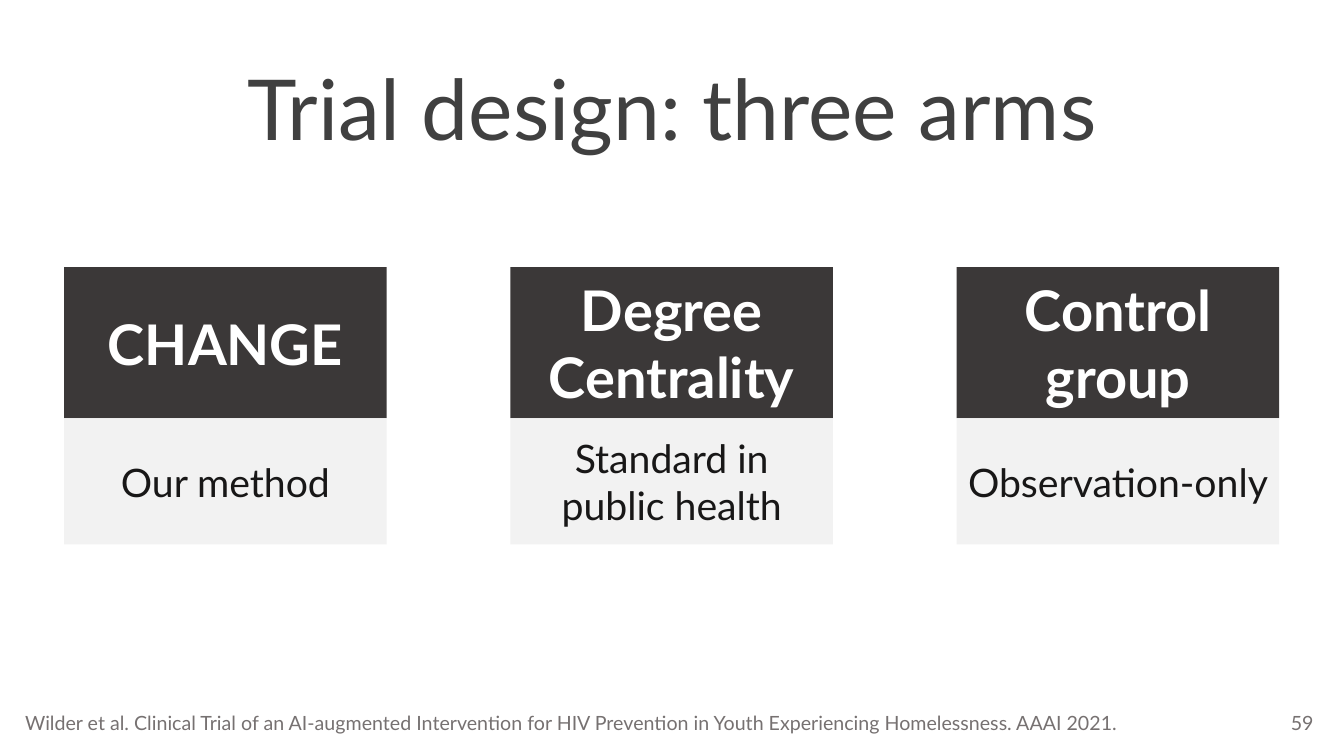
from dataclasses import dataclass

from pptx import Presentation
from pptx.dml.color import RGBColor
from pptx.enum.shapes import MSO_SHAPE
from pptx.enum.text import MSO_ANCHOR as Anchor, PP_ALIGN as Align
from pptx.util import Pt


@dataclass(frozen=True)
class Theme:
    """Colours, font and type sizes of the slide."""
    font: str = "Lato"
    title_ink: str = "404040"
    muted_ink: str = "767171"
    header_fill: str = "3B3838"
    header_ink: str = "FFFFFF"
    detail_fill: str = "F2F2F2"
    detail_ink: str = "181717"
    title_size: int = 60
    header_size: int = 40
    detail_size: int = 28
    small_size: int = 14


THEME = Theme()
ARMS = [
    ("CHANGE", "Our method"),
    ("Degree Centrality", "Standard in public health"),
    ("Control group", "Observation-only"),
]
ARM_LEFT, ARM_STEP, ARM_WIDTH = 45.8, 318.8, 230.4
HEADER_TOP, HEADER_HEIGHT, DETAIL_HEIGHT = 190.8, 108, 90


def write(holder, text, *, size, color, bold=False, align=Align.CENTER,
          anchor=Anchor.MIDDLE, spacing=1.0):
    """Put one formatted paragraph into a shape or text box."""
    frame = holder.text_frame
    frame.word_wrap = True
    frame.vertical_anchor = anchor
    paragraph = frame.paragraphs[0]
    paragraph.alignment = align
    paragraph.line_spacing = spacing
    run = paragraph.add_run()
    run.text = text
    run.font.name = THEME.font
    run.font.size = Pt(size)
    run.font.bold = bold
    run.font.color.rgb = RGBColor.from_string(color)


def add_label(slide, box, text, **text_format):
    """Add a free-standing text box."""
    label = slide.shapes.add_textbox(*map(Pt, box))
    write(label, text, **text_format)


def add_panel(slide, box, text, fill, **text_format):
    """Add a filled rectangle with text and no outline."""
    panel = slide.shapes.add_shape(MSO_SHAPE.RECTANGLE, *map(Pt, box))
    panel.shadow.inherit = False
    panel.fill.solid()
    panel.fill.fore_color.rgb = RGBColor.from_string(fill)
    panel.line.fill.background()
    write(panel, text, **text_format)


def add_arm(slide, left, name, detail):
    """Add one trial arm: a dark header above a light detail panel."""
    add_panel(slide, (left, HEADER_TOP, ARM_WIDTH, HEADER_HEIGHT), name,
              THEME.header_fill, size=THEME.header_size,
              color=THEME.header_ink, bold=True)
    add_panel(slide, (left, HEADER_TOP + HEADER_HEIGHT, ARM_WIDTH, DETAIL_HEIGHT),
              detail, THEME.detail_fill, size=THEME.detail_size,
              color=THEME.detail_ink)


def main():
    """Build the slide and save it."""
    deck = Presentation()
    deck.slide_width, deck.slide_height = Pt(960), Pt(540)
    slide = deck.slides.add_slide(deck.slide_layouts[6])

    add_label(slide, (66, 28.8, 828, 104.4), "Trial design: three arms",
              size=THEME.title_size, color=THEME.title_ink, spacing=0.9)
    add_label(slide, (729.4, 501.8, 216, 28.8), "59", size=THEME.small_size,
              color=THEME.muted_ink, align=Align.RIGHT)
    for index, (name, detail) in enumerate(ARMS):
        add_arm(slide, ARM_LEFT + index * ARM_STEP, name, detail)
    add_label(slide, (10.8, 504, 869, 24.5),
              "Wilder et al. Clinical Trial of an AI-augmented Intervention for HIV "
              "Prevention in Youth Experiencing Homelessness. AAAI 2021.",
              size=THEME.small_size, color=THEME.muted_ink, align=Align.LEFT,
              anchor=Anchor.TOP)

    deck.save("out.pptx")


if __name__ == "__main__":
    main()
